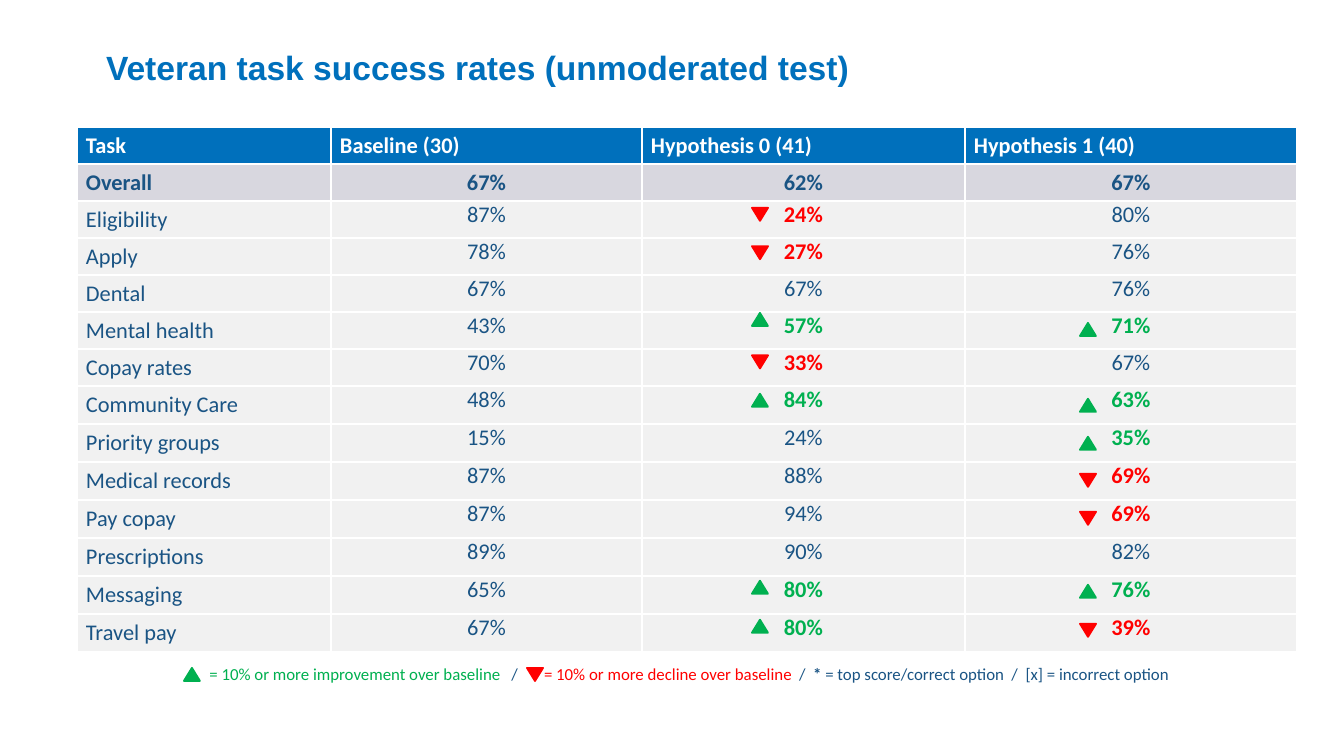
from dataclasses import dataclass
from itertools import accumulate

from lxml.etree import SubElement
from pptx import Presentation
from pptx.dml.color import RGBColor
from pptx.enum.shapes import MSO_SHAPE
from pptx.enum.text import MSO_ANCHOR, PP_ALIGN
from pptx.oxml.ns import qn
from pptx.util import Pt

EMU_PER_PX = 914400 / 134.4


@dataclass(frozen=True)
class Theme:
    blue: str = "0070BC"
    navy: str = "1A5484"
    green: str = "00B050"
    red: str = "FF0000"
    white: str = "FFFFFF"
    overall_fill: str = "D8D7DF"
    task_fill: str = "F1F1F1"
    title_font: str = "Arial"
    body_font: str = "Calibri"
    title_size: int = 18
    table_size: int = 12
    legend_size: int = 9


THEME = Theme()
UP, DOWN = THEME.green, THEME.red

HEADERS = ["Task", "Baseline (30)", "Hypothesis 0 (41)", "Hypothesis 1 (40)"]
COLUMN_WIDTHS = [254, 311, 323, 332]
ROW_HEIGHTS = [37] * 7 + [38] * 7
ROW_TOPS = [0, *accumulate([37.4] * 7 + [38] * 6)]
ARROW_LEFTS = {2: 110, 3: 115}
ARROW_SIZE = (16, 13)

# A changed score is (percent, direction, arrow offset below the row top).
SCORES = [
    ("Overall", 67, 62, 67),
    ("Eligibility", 87, (24, DOWN, 6), 80),
    ("Apply", 78, (27, DOWN, 7), 76),
    ("Dental", 67, 67, 76),
    ("Mental health", 43, (57, UP, -1), (71, UP, 9)),
    ("Copay rates", 70, (33, DOWN, 4), 67),
    ("Community Care", 48, (84, UP, 5), (63, UP, 10)),
    ("Priority groups", 15, 24, (35, UP, 10)),
    ("Medical records", 87, 88, (69, DOWN, 9)),
    ("Pay copay", 87, 94, (69, DOWN, 9)),
    ("Prescriptions", 89, 90, 82),
    ("Messaging", 65, (80, UP, 2), (76, UP, 6)),
    ("Travel pay", 67, (80, UP, 3), (39, DOWN, 7)),
]


def px(length):
    return round(length * EMU_PER_PX)


def write(paragraph, text, *, size, color, font=THEME.body_font, bold=False, gap=0):
    """Add a run; gap is extra points of character spacing."""
    run = paragraph.add_run()
    run.text = text
    run.font.name = font
    run.font.size = Pt(size)
    run.font.bold = bold
    run.font.color.rgb = RGBColor.from_string(color)
    if gap:
        run.font._element.set("spc", str(gap * 100))


def set_insets(target, horizontal, vertical):
    target.margin_left = target.margin_right = px(horizontal)
    target.margin_top = target.margin_bottom = px(vertical)


def add_text_box(slide, box, horizontal, vertical, anchor):
    frame = slide.shapes.add_textbox(*map(px, box)).text_frame
    frame.word_wrap = True
    frame.vertical_anchor = anchor
    set_insets(frame, horizontal, vertical)
    return frame.paragraphs[0]


def add_arrow(slide, left, top, direction):
    arrow = slide.shapes.add_shape(
        MSO_SHAPE.ISOSCELES_TRIANGLE, px(left), px(top), *map(px, ARROW_SIZE))
    arrow.shadow.inherit = False
    arrow.rotation = 180 if direction == DOWN else 0
    color = RGBColor.from_string(direction)
    arrow.fill.solid()
    arrow.fill.fore_color.rgb = color
    arrow.line.color.rgb = color
    arrow.line.width = Pt(1)


def style_cell(cell, fill):
    """Give the cell white one-point borders and a solid fill."""
    properties = cell._tc.get_or_add_tcPr()
    for side in ("a:lnL", "a:lnR", "a:lnT", "a:lnB"):
        border = SubElement(properties, qn(side), w=str(Pt(1)))
        SubElement(SubElement(border, qn("a:solidFill")), qn("a:srgbClr"), val=THEME.white)
    cell.fill.solid()
    cell.fill.fore_color.rgb = RGBColor.from_string(fill)


def fill_cell(cell, text, *, fill, color, bold, centered=False, inset=True):
    style_cell(cell, fill)
    set_insets(cell, *((9, 5) if inset else (0, 0)))
    paragraph = cell.text_frame.paragraphs[0]
    if centered:
        paragraph.alignment = PP_ALIGN.CENTER
    write(paragraph, text, size=THEME.table_size, color=color, bold=bold)


def add_title(slide, box):
    paragraph = add_text_box(slide, box, 13, 6, MSO_ANCHOR.MIDDLE)
    write(paragraph, "Veteran task success rates (unmoderated test)",
          size=THEME.title_size, color=THEME.blue, font=THEME.title_font, bold=True)


def add_score_table(slide, left, top):
    box = (left, top, sum(COLUMN_WIDTHS), sum(ROW_HEIGHTS))
    table = slide.shapes.add_table(
        len(ROW_HEIGHTS), len(COLUMN_WIDTHS), *map(px, box)).table
    table.horz_banding = False
    for column, width in zip(table.columns, COLUMN_WIDTHS):
        column.width = px(width)
    for row, height in zip(table.rows, ROW_HEIGHTS):
        row.height = px(height)
    for column, header in enumerate(HEADERS):
        fill_cell(table.cell(0, column), header,
                  fill=THEME.blue, color=THEME.white, bold=True)

    for row, (task, *scores) in enumerate(SCORES, start=1):
        overall = row == 1
        fill = THEME.overall_fill if overall else THEME.task_fill
        fill_cell(table.cell(row, 0), task, fill=fill, color=THEME.navy, bold=overall)
        for column, score in enumerate(scores, start=1):
            color, changed = THEME.navy, isinstance(score, tuple)
            if changed:
                score, color, offset = score
                add_arrow(slide,
                          left + sum(COLUMN_WIDTHS[:column]) + ARROW_LEFTS[column],
                          top + ROW_TOPS[row] + offset, color)
            fill_cell(table.cell(row, column), f"{score}%", fill=fill, color=color,
                      bold=overall or changed, centered=True, inset=overall)


def add_legend(slide, box):
    left, top = box[:2]
    paragraph = add_text_box(slide, box, 9, 5, MSO_ANCHOR.TOP)
    paragraph.alignment = PP_ALIGN.CENTER
    paragraph.line_spacing = 0.9
    parts = [
        ("= 10% or more improvement over baseline", UP, {}),
        (" ", THEME.navy, {"gap": 4}),
        ("/", THEME.navy, {}),
        (" ", THEME.navy, {"gap": 12}),
        ("= 10% or more decline over baseline", DOWN, {}),
        (" ", THEME.navy, {"gap": 2}),
        ("/", THEME.navy, {}),
        (" ", THEME.navy, {"gap": 2}),
        ("*", THEME.navy, {"bold": True}),
        (" = top score/correct option", THEME.navy, {}),
        (" ", THEME.navy, {"gap": 2}),
        ("/", THEME.navy, {}),
        (" ", THEME.navy, {"gap": 2}),
        ("[x] = incorrect option", THEME.navy, {}),
    ]
    for text, color, style in parts:
        write(paragraph, text, size=THEME.legend_size, color=color, **style)
    for offset, direction in ((103, UP), (446, DOWN)):
        add_arrow(slide, left + offset, top + 7, direction)


def main():
    presentation = Presentation()
    presentation.slide_width, presentation.slide_height = px(1344), px(756)
    slide = presentation.slides.add_slide(presentation.slide_layouts[6])
    add_title(slide, (93, 40, 1158, 54))
    add_score_table(slide, 77, 127)
    add_legend(slide, (81, 661, 1216, 30))
    presentation.save("out.pptx")


if __name__ == "__main__":
    main()
